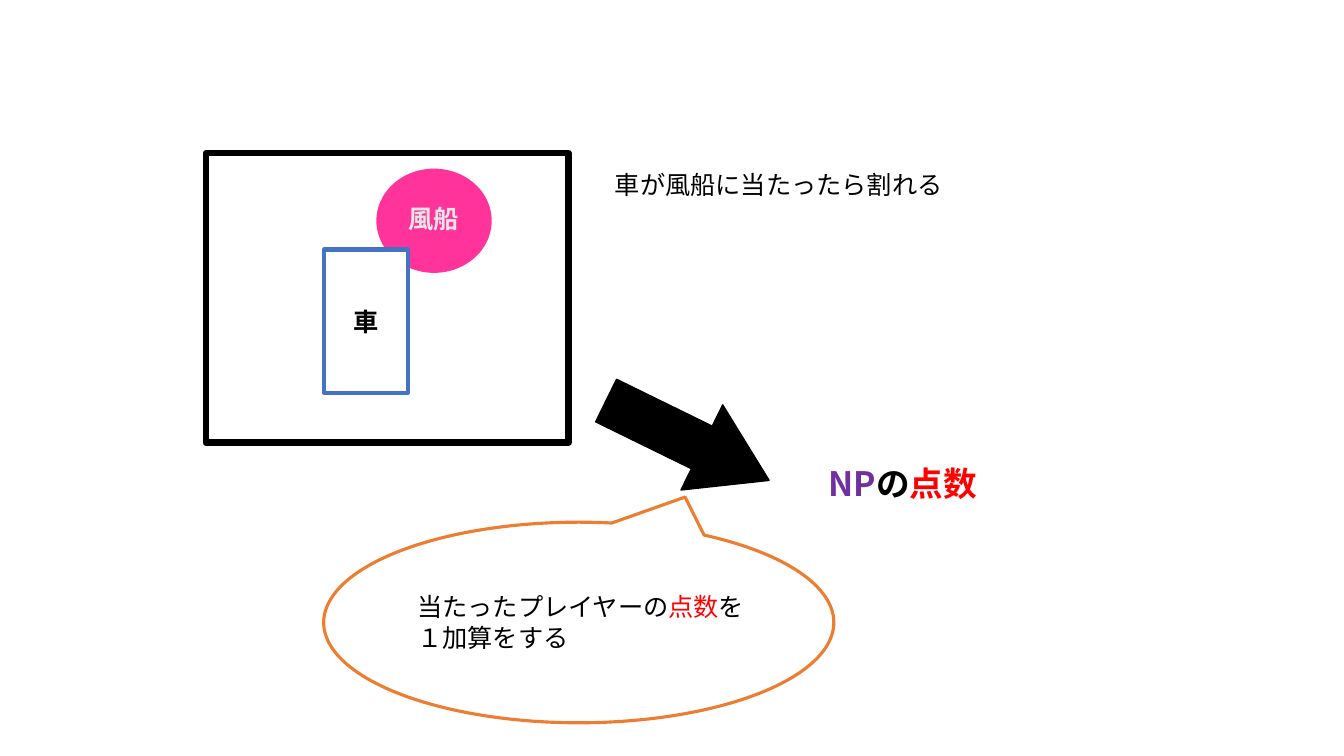
import lxml.etree
import pptx
import pptx.dml.color
import pptx.enum.shapes
import pptx.enum.text
import pptx.oxml.ns
import pptx.util

Inches = pptx.util.Inches
RGBColor = pptx.dml.color.RGBColor
SHAPE = pptx.enum.shapes.MSO_SHAPE
ALIGN = pptx.enum.text.PP_ALIGN

BLACK = RGBColor(0x00, 0x00, 0x00)
WHITE = RGBColor(0xFF, 0xFF, 0xFF)
PINK = RGBColor(0xFF, 0x33, 0x99)
PALE_GRAY = RGBColor(0xE7, 0xE6, 0xE6)
BLUE = RGBColor(0x44, 0x72, 0xC4)
ORANGE = RGBColor(0xED, 0x7D, 0x31)
RED = RGBColor(0xFF, 0x00, 0x00)
PURPLE = RGBColor(0x70, 0x30, 0xA0)


class GameSlide:
    font_name = "Noto Sans CJK JP"

    def __init__(self, slide):
        self.slide = slide

    def shape(self, kind, box, line, line_width, fill=None, rotation=0):
        shape = self.slide.shapes.add_shape(kind, *map(Inches, box))
        shape.shadow.inherit = False
        shape.rotation = rotation
        if fill is None:
            shape.fill.background()
        else:
            shape.fill.solid()
            shape.fill.fore_color.rgb = fill
        shape.line.color.rgb = line
        shape.line.width = pptx.util.Pt(line_width)
        return shape

    def text(self, box, parts, size=18, bold=False, align=ALIGN.LEFT):
        """Add one paragraph made of (words, colour) parts."""
        text_box = self.slide.shapes.add_textbox(*map(Inches, box))
        frame = text_box.text_frame
        frame.word_wrap = True
        frame.auto_size = pptx.enum.text.MSO_AUTO_SIZE.SHAPE_TO_FIT_TEXT
        paragraph = frame.paragraphs[0]
        paragraph.alignment = align
        font = paragraph.font
        font.name = self.font_name
        font.size = pptx.util.Pt(size)
        font.bold = bold
        properties = paragraph._p.pPr.find(pptx.oxml.ns.qn("a:defRPr"))
        east_asian = lxml.etree.SubElement(properties, pptx.oxml.ns.qn("a:ea"))
        east_asian.set("typeface", self.font_name)
        for words, color in parts:
            run = paragraph.add_run()
            run.text = words
            run.font.color.rgb = color


def main():
    presentation = pptx.Presentation()
    presentation.slide_width = Inches(13.33)
    presentation.slide_height = Inches(7.5)
    game = GameSlide(presentation.slides.add_slide(presentation.slide_layouts[6]))

    game.shape(SHAPE.FLOWCHART_PROCESS, (2.04, 1.52, 3.6, 2.87), BLACK, 4.5)
    game.shape(SHAPE.OVAL, (3.74, 1.68, 1.13, 1.02), PINK, 1, PINK)
    game.text((3.86, 1.97, 0.88, 0.4), [("風船", PALE_GRAY)],
              bold=True, align=ALIGN.CENTER)
    game.shape(SHAPE.RECTANGLE, (2.92, 2.77, 1.42, 0.83), BLUE, 3, WHITE, rotation=270)
    game.text((3.31, 2.99, 0.64, 0.4), [("車", BLACK)],
              bold=True, align=ALIGN.CENTER)

    game.text((6, 1.63, 4.25, 0.4), [("車が風船に当たったら割れる", BLACK)])
    game.text((8.12, 4.54, 1.79, 0.5),
              [("NP", PURPLE), ("の", BLACK), ("点数", RED)], size=24, bold=True)

    arrow = game.shape(SHAPE.RIGHT_ARROW, (5.92, 3.9, 1.8, 0.94), BLACK, 1, BLACK,
                       rotation=26.1)
    arrow.adjustments[1] = 0.79
    game.shape(SHAPE.OVAL_CALLOUT, (3.21, 5.18, 5.06, 1.99), ORANGE, 2.25, rotation=180)
    game.text((4.04, 5.82, 3.54, 0.71),
              [("当たったプレイヤーの", BLACK), ("点数", RED), ("を１加算をする", BLACK)])

    presentation.save("out.pptx")


if __name__ == "__main__":
    main()
